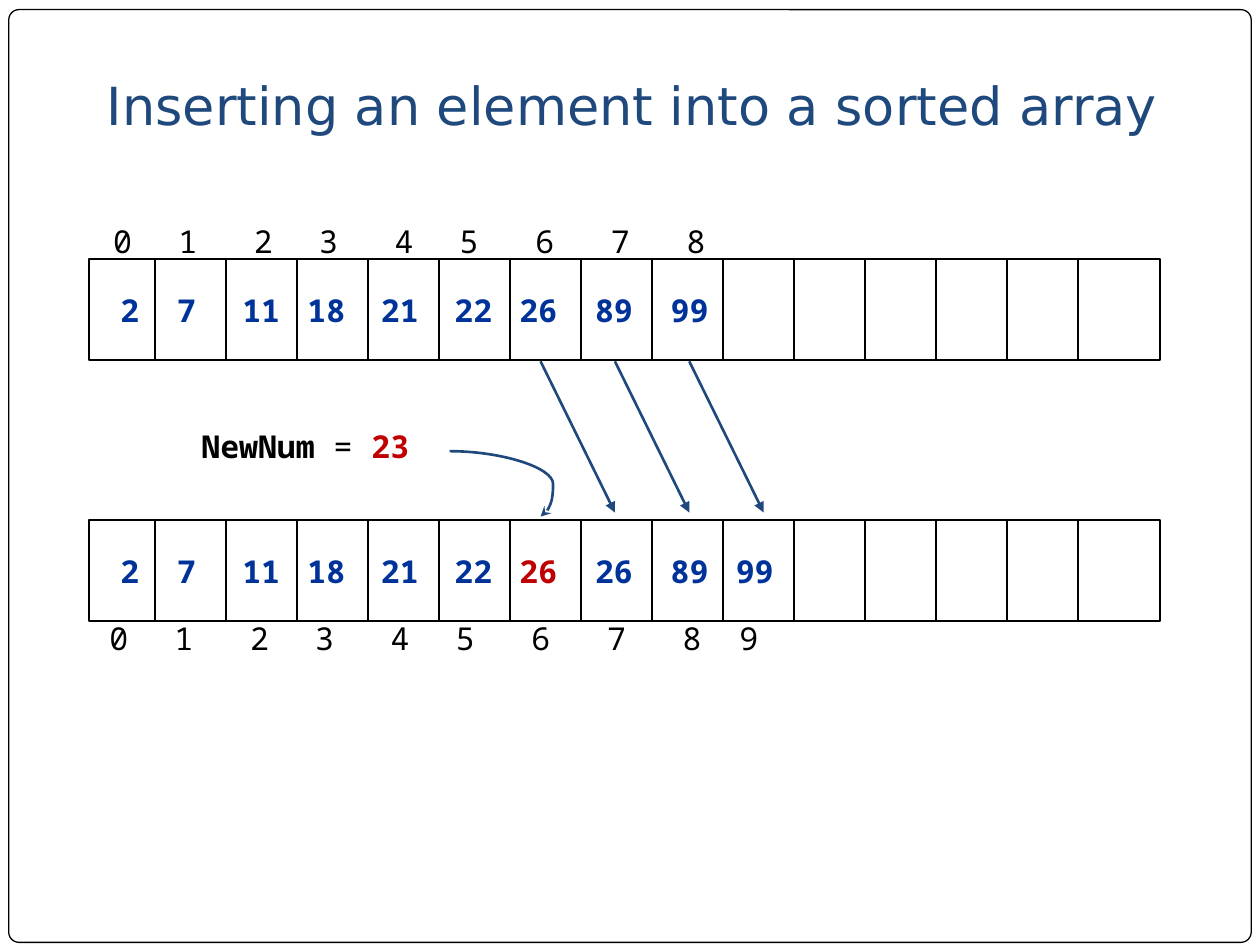
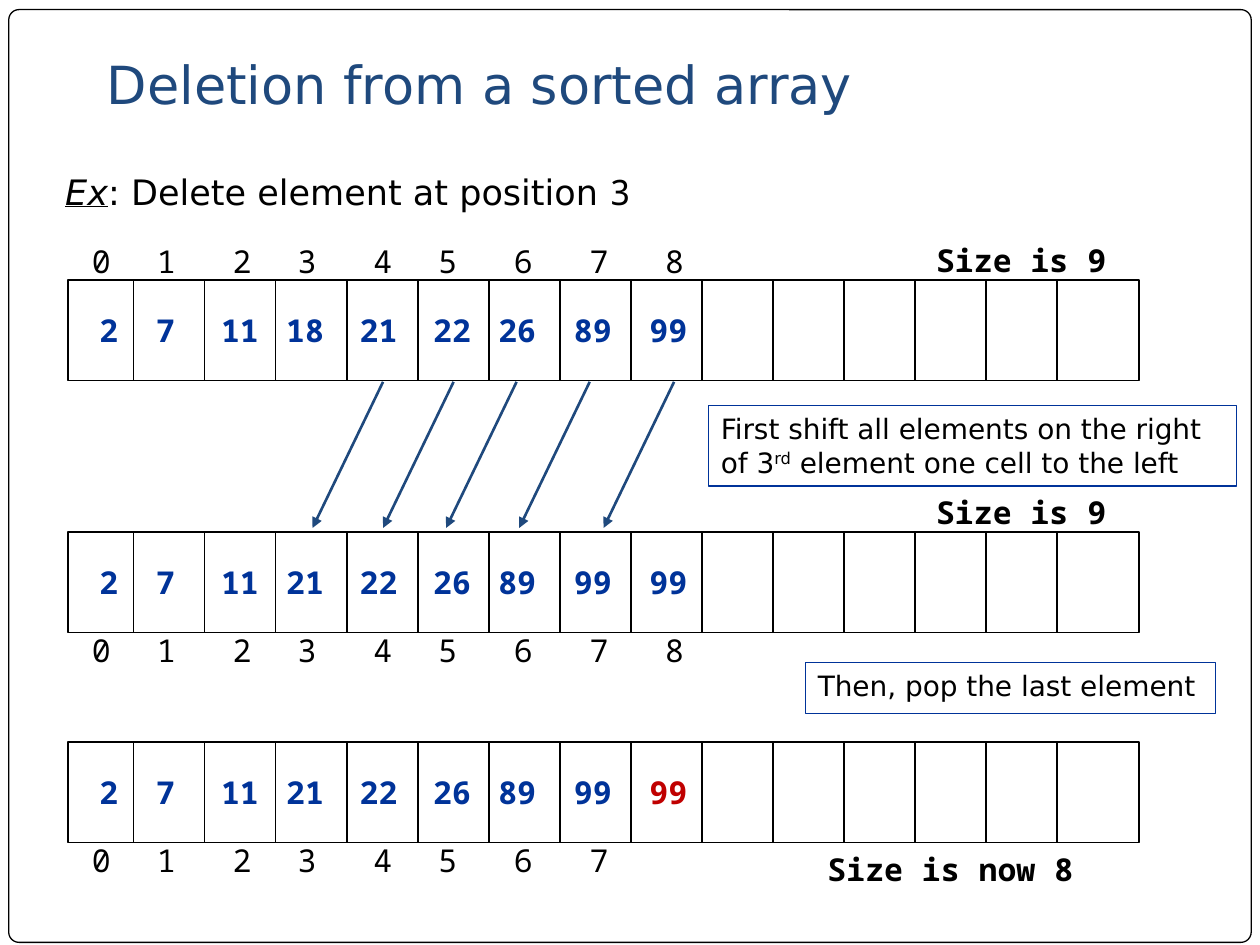
from lxml.etree import SubElement
from pptx import Presentation
from pptx.dml.color import RGBColor
from pptx.enum.shapes import MSO_CONNECTOR, MSO_SHAPE
from pptx.enum.text import MSO_ANCHOR, PP_ALIGN
from pptx.oxml.ns import qn
from pptx.util import Pt

SANS, MONO = "DejaVu Sans", "Noto Sans Mono"
BLACK, WHITE, NAVY, BLUE, RED = "000000", "FFFFFF", "1F497D", "003399", "C00000"

TITLE = {"name": SANS, "size": Pt(30), "color": NAVY}
VALUE = {"name": MONO, "size": Pt(18), "color": BLUE, "bold": True}
MARKED = {**VALUE, "color": RED}
INDEX = {"name": MONO, "size": Pt(18), "color": BLACK}
LABEL = {**INDEX, "bold": True}
LEAD = {"name": SANS, "size": Pt(20), "color": BLACK}
NOTE = {"name": SANS, "size": Pt(16), "color": BLACK}

ROW_WIDTH, ROW_HEIGHT = 612, 57.4
FIRST_DIVIDER, CELL_WIDTH, DIVIDERS = 37.4, 40.6, 14
VALUE_TABS = [10.8, 43.2, 80.4, 117.6, 159.6, 201.6, 238.8, 282, 325.2, 362.4]
INDEX_TABS = [10.8, 48, 91.2, 128.4, 171.6, 208.8, 252, 295.2, 338.4, 370.8]


def paint(target, color):
    """Give a fill, or the fill of a line or font, one solid colour."""
    target.solid()
    target.fore_color.rgb = RGBColor.from_string(color)


def write(box, spans, tabs=(), anchor=MSO_ANCHOR.TOP, insets=(3.6, 3.6)):
    """Write one left-aligned paragraph of formatted spans, with tab stops."""
    frame = box.text_frame
    settings = {"word_wrap": True, "vertical_anchor": anchor,
                "margin_left": Pt(7.2), "margin_right": Pt(7.2),
                "margin_top": Pt(insets[0]), "margin_bottom": Pt(insets[1])}
    for name, value in settings.items():
        setattr(frame, name, value)
    para = frame.paragraphs[0]
    para.alignment = PP_ALIGN.LEFT
    if tabs:
        stops = SubElement(para._p.get_or_add_pPr(), qn("a:tabLst"))
        for tab in tabs:
            SubElement(stops, qn("a:tab"), pos=str(Pt(tab)), algn="l")
    for text, style in spans:
        span = para.add_run()
        span.text = text
        for name, value in style.items():
            if name == "color":
                paint(span.font.fill, value)
            elif name == "baseline":
                span.font._element.set(name, value)
            else:
                setattr(span.font, name, value)


def add_text(page, left, top, width, height, spans, **layout):
    """Add a text box."""
    box = page.shapes.add_textbox(Pt(left), Pt(top), Pt(width), Pt(height))
    write(box, spans, **layout)


def add_box(shapes, kind, left, top, width, height, line, weight):
    """Add an unfilled outlined shape."""
    box = shapes.add_shape(kind, Pt(left), Pt(top), Pt(width), Pt(height))
    box.shadow.inherit = False
    box.fill.background()
    paint(box.line.fill, line)
    box.line.width = Pt(weight)
    return box


def add_line(shapes, start, end, color, weight, head=None, kind=MSO_CONNECTOR.STRAIGHT):
    """Add a connector, with an arrowhead at its end if one is named."""
    line = shapes.add_connector(kind, *map(Pt, (*start, *end)))
    paint(line.line.fill, color)
    line.line.width = Pt(weight)
    if head:
        SubElement(line.line._get_or_add_ln(), qn("a:tailEnd"), type=head)
    SubElement(line._element.spPr, qn("a:effectLst"))
    return line


def add_page(deck, title, title_top):
    """Add a blank page with the rounded frame and a title."""
    page = deck.slides.add_slide(deck.slide_layouts[6])
    frame = add_box(page.shapes, MSO_SHAPE.ROUNDED_RECTANGLE, 5, 5.5, 710, 533, BLACK, 0.75)
    frame.adjustments[0] = 0.011
    paint(frame.fill, WHITE)
    add_text(page, 54, title_top, 623.5, 55.4, [(title, TITLE)],
             anchor=MSO_ANCHOR.BOTTOM, insets=(3.6, 7.2))
    return page


def add_array(page, left, top, values, marked=None):
    """Add a row of cells holding values, one of them marked."""
    shapes = page.shapes.add_group_shape().shapes
    row = add_box(shapes, MSO_SHAPE.RECTANGLE, left, top, ROW_WIDTH, ROW_HEIGHT, BLACK, 1)
    spans = [(f"\t{value}", MARKED if place == marked else VALUE)
             for place, value in enumerate(values)]
    write(row, spans, VALUE_TABS, MSO_ANCHOR.MIDDLE)
    for number in range(DIVIDERS):
        x = left + FIRST_DIVIDER + number * CELL_WIDTH
        add_line(shapes, (x, top), (x, top + ROW_HEIGHT), BLACK, 1)


def add_indices(page, left, top, count):
    """Add the position numbers of a row."""
    text = "".join(f"\t{number}" for number in range(count))
    add_text(page, left, top, 625, 29, [(text, INDEX)], tabs=INDEX_TABS)


def add_shifts(page, starts, top, across, down):
    """Add parallel arrows that show values moving one cell."""
    for x in starts:
        add_line(page.shapes, (x, top), (x + across, top + down), NAVY, 1.5, "triangle")


def add_note(page, left, top, width, height, spans):
    """Add an outlined note."""
    write(add_box(page.shapes, MSO_SHAPE.RECTANGLE, left, top, width, height, BLUE, 0.75), spans)


def add_insertion(deck):
    """Add the page about inserting an element."""
    page = add_page(deck, "Inserting an element into a sorted array", 29.5)
    add_array(page, 51, 148.2, [2, 7, 11, 18, 21, 22, 26, 89, 99])
    add_array(page, 51, 297.3, [2, 7, 11, 18, 21, 22, 26, 26, 89, 99], marked=6)
    add_shifts(page, [308.9 + 42.5 * step for step in range(3)], 206.5, 42.5, 86.4)
    add_text(page, 108, 240.5, 149, 34.5,
             [("NewNum ", LABEL), ("= ", INDEX), ("23", MARKED)])
    curve = add_line(page.shapes, (257, 257.8), (308.9, 295.2), NAVY, 1.5,
                     "stealth", MSO_CONNECTOR.CURVE)
    bend = curve._element.spPr.find(qn("a:prstGeom")).find(qn("a:avLst"))
    SubElement(bend, qn("a:gd"), name="adj1", fmla="val 113800")
    add_indices(page, 46.8, 123.1, 9)
    add_indices(page, 44.6, 349.9, 10)


def add_deletion(deck):
    """Add the page about deleting an element."""
    page = add_page(deck, "Deletion from a sorted array", 17.3)
    add_text(page, 30.2, 90, 510.5, 59.8,
             [("Ex", {**LEAD, "italic": True, "underline": True}),
              (": Delete element at position ", LEAD), ("3", {**LEAD, "name": MONO})],
             insets=(7.2, 7.2))
    shifted = [2, 7, 11, 21, 22, 26, 89, 99, 99]
    add_array(page, 38.9, 160, [2, 7, 11, 18, 21, 22, 26, 89, 99])
    add_array(page, 38.9, 304, shifted)
    add_array(page, 38.9, 424, shifted, marked=8)
    for top, count in ((134.8, 9), (357.1, 9), (477.3, 8)):
        add_indices(page, 34.6, top, count)
    for left, top, width, text in ((527.8, 133.9, 117.5, "Size is 9"),
                                   (527.8, 277.9, 117.5, "Size is 9"),
                                   (465.8, 482.4, 175.7, "Size is now 8")):
        add_text(page, left, top, width, 29, [(text, LABEL)])
    add_shifts(page, [218.9, 259.2, 295.2, 337, 385.2], 218.2, -40.3, 83.5)
    add_note(page, 404.8, 231.7, 301.7, 46,
             [("First shift all elements on the right of 3", NOTE),
              ("rd", {**NOTE, "baseline": "30000"}),
              (" element one cell to the left", NOTE)])
    add_note(page, 460.2, 378.6, 234.4, 29, [("Then, pop the last element", NOTE)])


def main():
    """Build and save the deck."""
    deck = Presentation()
    deck.slide_width, deck.slide_height = Pt(720), Pt(540)
    add_insertion(deck)
    add_deletion(deck)
    deck.save("out.pptx")


if __name__ == "__main__":
    main()
